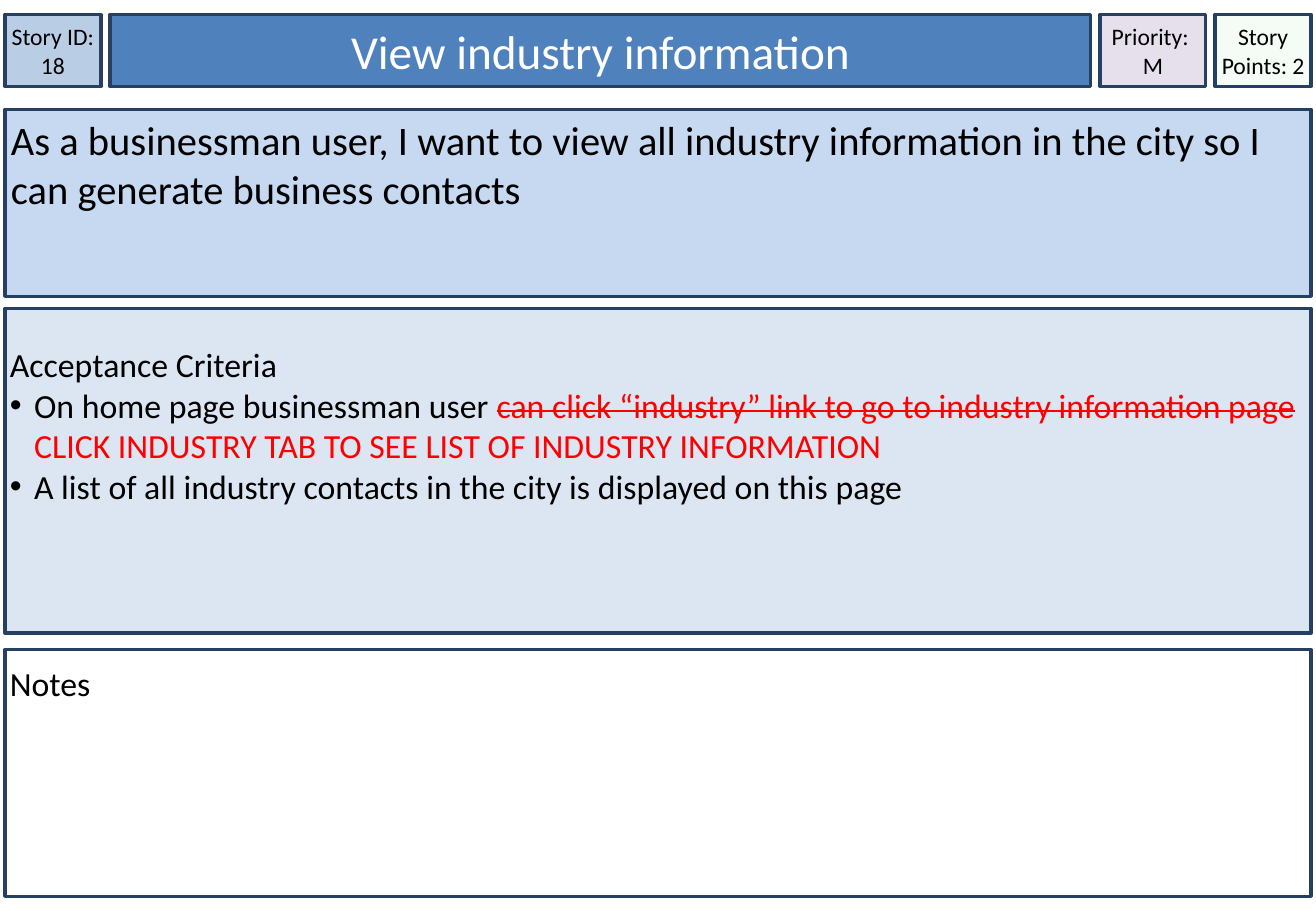
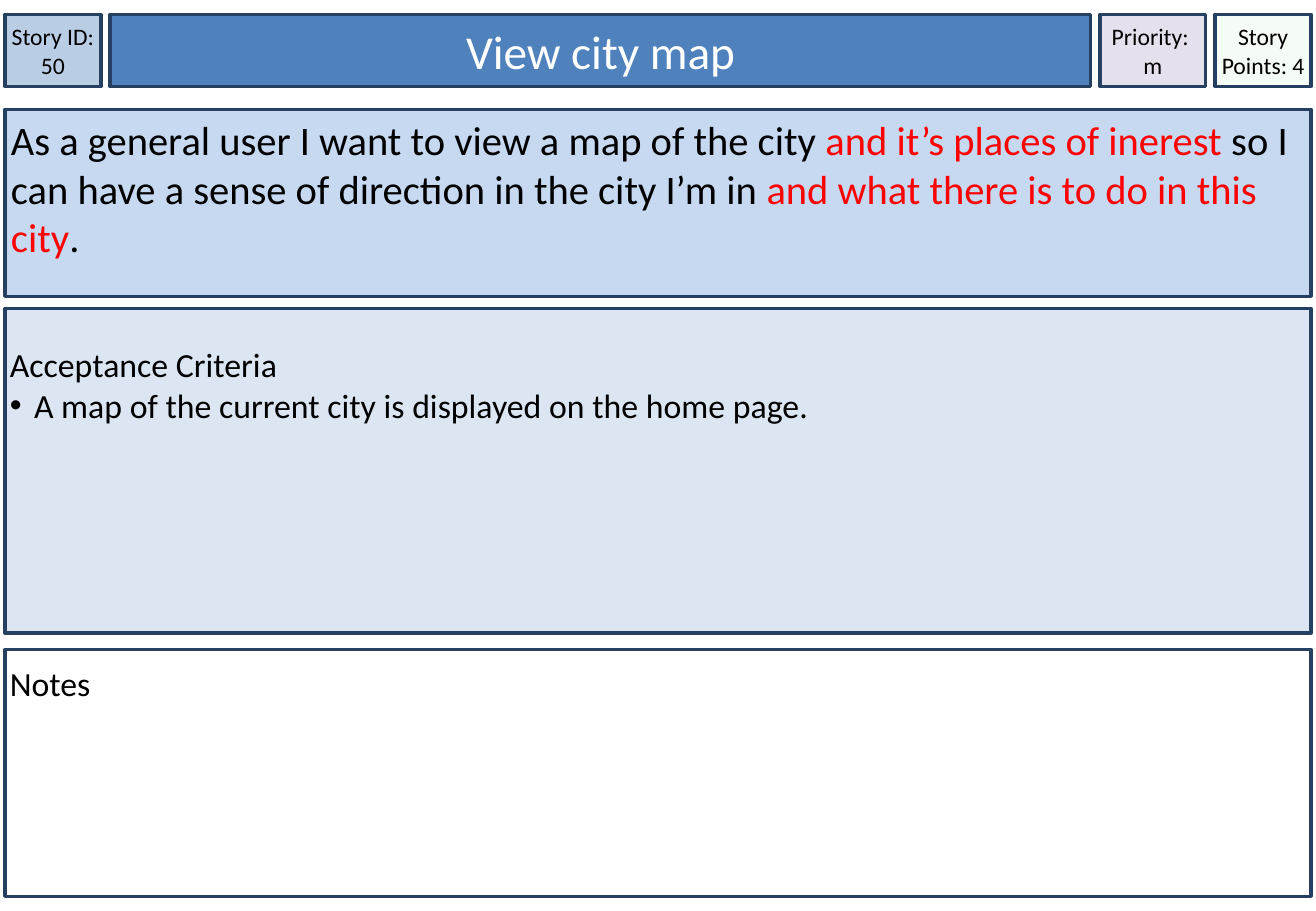
from dataclasses import dataclass
from itertools import accumulate
from typing import NamedTuple

from lxml.etree import SubElement
from pptx import Presentation
from pptx.dml.color import RGBColor
from pptx.enum.shapes import MSO_SHAPE
from pptx.enum.text import MSO_ANCHOR, MSO_AUTO_SIZE, PP_ALIGN
from pptx.oxml.ns import qn
from pptx.shapes.autoshape import Shape
from pptx.slide import Slide
from pptx.util import Inches, Pt

FONT = "Calibri"
BLACK, WHITE, RED, NAVY = "000000", "FFFFFF", "FF0000", "254061"

MARGIN = 0.04
CONTENT_WIDTH = 10.75
HEADER_TOP, HEADER_HEIGHT = 0.12, 0.59
HEADER_WIDTHS = (0.79, 8.07, 0.87, 0.79)
HEADER_GAP = (CONTENT_WIDTH - sum(HEADER_WIDTHS)) / (len(HEADER_WIDTHS) - 1)
HEADER_LEFTS = tuple(accumulate(
    (width + HEADER_GAP for width in HEADER_WIDTHS[:-1]), initial=MARGIN))
BULLET_INDENT = 0.2


class Span(NamedTuple):
    text: str
    color: str = BLACK
    strike: bool = False


class Line(NamedTuple):
    spans: tuple[Span, ...]
    bullet: bool = False


@dataclass(frozen=True)
class Panel:
    left: float
    top: float
    width: float
    height: float
    fill: str
    size: int
    inset: float = 0
    inset_top: float = 0
    centered: bool = False
    wrap: bool = True
    opacity: int = 100


def header_panel(column: int, fill: str, size: int = 14, **options) -> Panel:
    return Panel(HEADER_LEFTS[column], HEADER_TOP, HEADER_WIDTHS[column],
                 HEADER_HEIGHT, fill, size, centered=True, **options)


def section_panel(top: float, height: float, fill: str, size: int,
                  inset: float, inset_top: float) -> Panel:
    return Panel(MARGIN, top, CONTENT_WIDTH, height, fill, size, inset, inset_top)


STORY_ID = header_panel(0, "B9CDE5")
TITLE = header_panel(1, "4F81BD", size=28, inset=0.05)
PRIORITY = header_panel(2, "E6E0EC", wrap=False)
POINTS = header_panel(3, "CCF0CD", opacity=20)
STORY = section_panel(0.9, 1.54, "C6D9F1", 24, 0.05, 0.05)
CRITERIA = section_panel(2.54, 2.67, "DCE6F2", 20, 0.04, 0.29)
NOTES = section_panel(5.35, 2.03, WHITE, 20, 0.04, 0.11)


@dataclass(frozen=True)
class StoryCard:
    number: int
    title: str
    priority: str
    points: int
    story: tuple[Span, ...]
    criteria: tuple[tuple[Span, ...], ...]


CARDS = (
    StoryCard(
        18, "View industry information", "M", 2,
        (Span("As a businessman user, I want to view all industry information "
              "in the city so I can generate business contacts"),),
        (
            (Span("On home page businessman user "),
             Span("can click “industry” link to go to industry information page ",
                  RED, strike=True),
             Span("CLICK INDUSTRY TAB TO SEE LIST OF INDUSTRY INFORMATION", RED)),
            (Span("A list of all industry contacts in the city is displayed "
                  "on this page"),),
        ),
    ),
    StoryCard(
        50, "View city map", "m", 4,
        (Span("As a general user I want to view a map of the city "),
         Span("and it’s places of inerest", RED),
         Span(" so I can have a sense of direction in the city I’m in "),
         Span("and what there is to do in this city", RED),
         Span(".")),
        ((Span("A map of the current city is displayed on the home page."),),),
    ),
)


def rgb(color: str) -> RGBColor:
    return RGBColor.from_string(color)


def plain(text: str, color: str = BLACK) -> Line:
    return Line((Span(text, color),))


def frame(shape: Shape, panel: Panel) -> None:
    """Place the shape and give it the panel's fill and border."""
    shape.left, shape.top = Inches(panel.left), Inches(panel.top)
    shape.width, shape.height = Inches(panel.width), Inches(panel.height)
    shape.shadow.inherit = False
    shape.fill.solid()
    shape.fill.fore_color.rgb = rgb(panel.fill)
    if panel.opacity < 100:
        tint = shape.fill._xPr.find(qn("a:solidFill"))[0]
        SubElement(tint, qn("a:alpha"), val=str(panel.opacity * 1000))
    shape.line.color.rgb = rgb(NAVY)
    shape.line.width = Pt(2)


def write(shape: Shape, panel: Panel, lines: list[Line]) -> None:
    text_frame = shape.text_frame
    text_frame.auto_size = MSO_AUTO_SIZE.NONE
    text_frame.word_wrap = panel.wrap
    text_frame.vertical_anchor = MSO_ANCHOR.MIDDLE if panel.centered else MSO_ANCHOR.TOP
    text_frame.margin_left = text_frame.margin_right = Inches(panel.inset)
    text_frame.margin_top = Inches(panel.inset_top)
    text_frame.margin_bottom = Inches(0)
    for index, line in enumerate(lines):
        paragraph = text_frame.paragraphs[0] if index == 0 else text_frame.add_paragraph()
        properties = paragraph._p.get_or_add_pPr()
        indent = Inches(BULLET_INDENT) if line.bullet else 0
        properties.set("marL", str(indent))
        properties.set("indent", str(-indent))
        if line.bullet:
            bullet_color = SubElement(properties, qn("a:buClr"))
            SubElement(bullet_color, qn("a:srgbClr"), val=BLACK)
            SubElement(properties, qn("a:buFont"), typeface="Arial")
            SubElement(properties, qn("a:buChar"), char="•")
        else:
            SubElement(properties, qn("a:buNone"))
        paragraph.alignment = PP_ALIGN.CENTER if panel.centered else PP_ALIGN.LEFT
        paragraph.space_before = Pt(0)
        for span in line.spans:
            run = paragraph.add_run()
            run.text = span.text
            run.font.name = FONT
            run.font.size = Pt(panel.size)
            run.font.color.rgb = rgb(span.color)
            if span.strike:
                run._r.get_or_add_rPr().set("strike", "sngStrike")


def fill_panel(shape: Shape, panel: Panel, lines: list[Line]) -> None:
    frame(shape, panel)
    write(shape, panel, lines)


def add_panel(slide: Slide, panel: Panel, lines: list[Line]) -> None:
    box = slide.shapes.add_shape(MSO_SHAPE.RECTANGLE, 0, 0, 0, 0)
    fill_panel(box, panel, lines)


def draw_card(slide: Slide, card: StoryCard) -> None:
    criteria = [Line(spans, bullet=True) for spans in card.criteria]
    fill_panel(slide.shapes.title, TITLE, [plain(card.title, WHITE)])
    fill_panel(slide.placeholders[1], CRITERIA,
               [plain("Acceptance Criteria"), *criteria])
    add_panel(slide, STORY_ID, [plain(f"Story ID: {card.number}")])
    add_panel(slide, STORY, [Line(card.story)])
    add_panel(slide, POINTS, [plain(f"Story Points: {card.points}")])
    add_panel(slide, PRIORITY, [plain("Priority: "), plain(card.priority)])
    add_panel(slide, NOTES, [plain("Notes")])


def main() -> None:
    deck = Presentation()
    deck.slide_width, deck.slide_height = Inches(10.83), Inches(7.5)
    title_and_content = deck.slide_layouts[1]
    for card in CARDS:
        draw_card(deck.slides.add_slide(title_and_content), card)
    deck.save("out.pptx")


if __name__ == "__main__":
    main()
